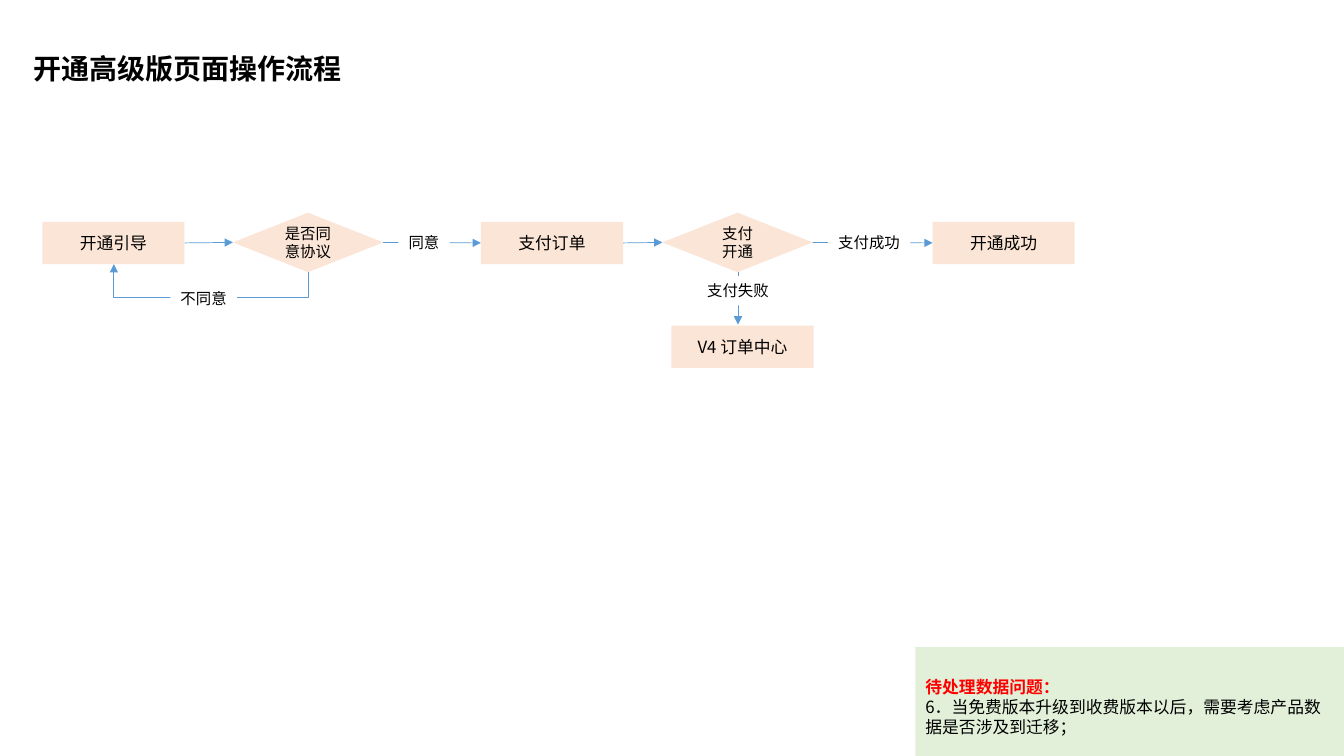
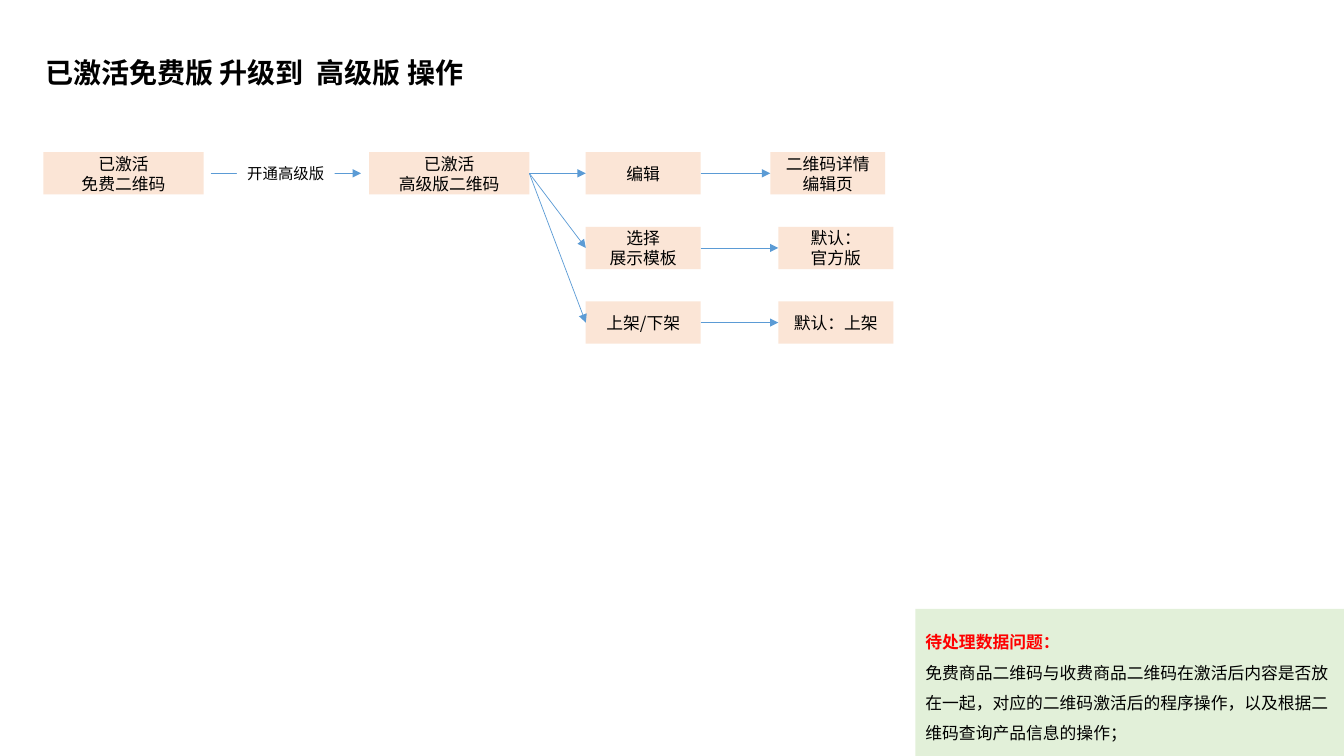
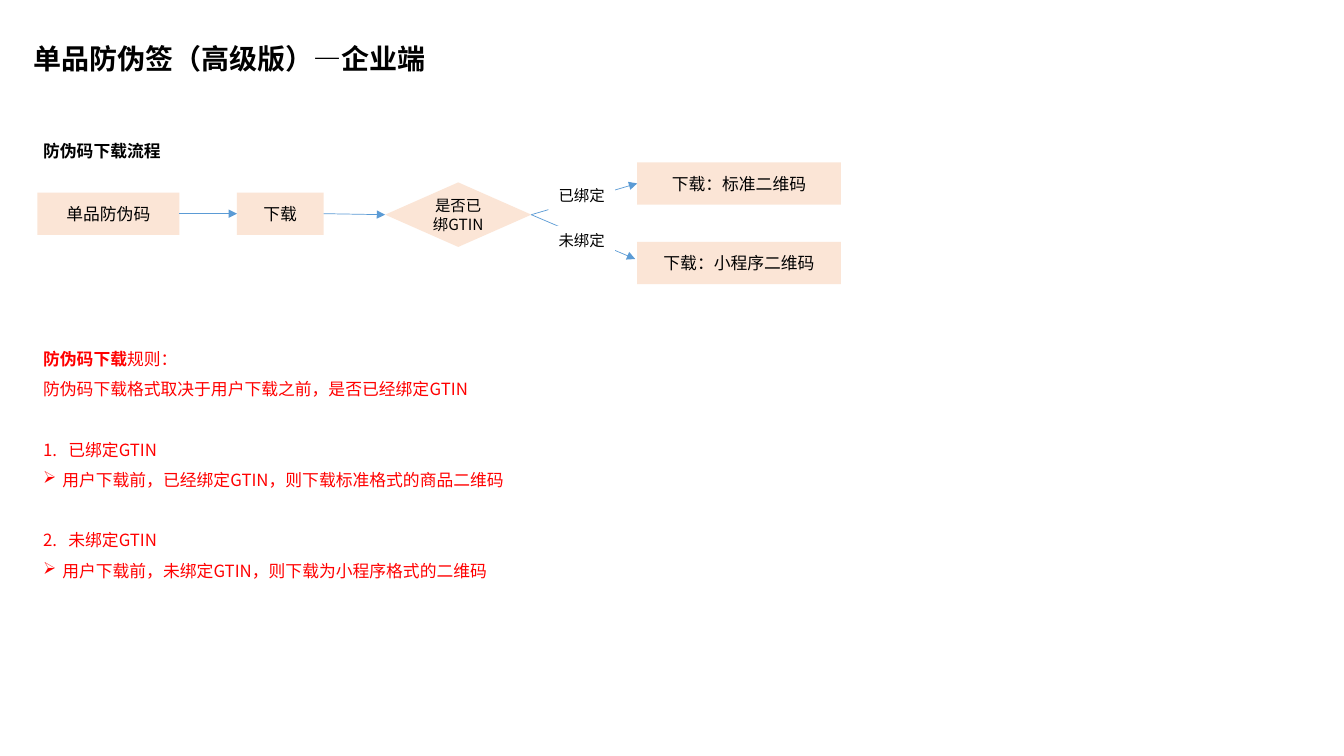
from lxml import etree
from pptx import Presentation
from pptx.dml.color import RGBColor
from pptx.enum.shapes import MSO_CONNECTOR, MSO_SHAPE
from pptx.enum.text import MSO_ANCHOR, MSO_AUTO_SIZE, PP_ALIGN
from pptx.oxml.ns import qn
from pptx.util import Pt

PX = 9144  # 100 px to the inch
FONT = "Noto Sans CJK SC"
BLACK = RGBColor(0x00, 0x00, 0x00)
WHITE = RGBColor(0xFF, 0xFF, 0xFF)
RED = RGBColor(0xFF, 0x00, 0x00)
PEACH = RGBColor(0xFB, 0xE5, 0xD6)
GREEN = RGBColor(0xE2, 0xF0, 0xD9)
BLUE = RGBColor(0x5B, 0x9B, 0xD5)
RECT, DIAMOND = MSO_SHAPE.RECTANGLE, MSO_SHAPE.DIAMOND
STRAIGHT, ELBOW = MSO_CONNECTOR.STRAIGHT, MSO_CONNECTOR.ELBOW
LEFT, CENTER = PP_ALIGN.LEFT, PP_ALIGN.CENTER
MIDDLE, FIT = MSO_ANCHOR.MIDDLE, MSO_AUTO_SIZE.SHAPE_TO_FIT_TEXT
LEFT_SITE, RIGHT_SITE = 1, 3
BOX_H = 42
SLIDE_W, SLIDE_H = 1333, 750


class Deck:
    def __init__(self):
        self.prs = Presentation()
        self.prs.slide_width = SLIDE_W * PX
        self.prs.slide_height = SLIDE_H * PX
        self.s = None

    def new_slide(self, title, x, y, w):
        self.s = self.prs.slides.add_slide(self.prs.slide_layouts[6])
        self.text(title, x, y, w, 44, 20, bold=True)

    def para(self, tf, runs, size=12, align=LEFT, spacing=None):
        """Add a paragraph of (text, colour, bold) runs, using the empty first one."""
        p = tf.paragraphs[0]
        if p.runs:
            p = tf.add_paragraph()
        p.alignment = align
        if spacing:
            p.line_spacing = spacing
        for text, color, bold in runs:
            r = p.add_run()
            r.text = text
            f = r.font
            f.name, f.size, f.bold = FONT, Pt(size), bold
            f.color.rgb = color
            etree.SubElement(r._r.get_or_add_rPr(), qn("a:ea"), typeface=FONT)
        return p

    def frame(self, x, y, w, h, wrap=False):
        sp = self.s.shapes.add_textbox(x * PX, y * PX, w * PX, h * PX)
        sp.text_frame.word_wrap = wrap
        sp.text_frame.auto_size = FIT
        return sp

    def text(self, text, x, y, w, h, size, bold=False, align=LEFT):
        sp = self.frame(x, y, w, h)
        self.para(sp.text_frame, [(text, BLACK, bold)], size, align)
        return sp

    def label(self, text, x, y, w):
        """White caption that interrupts the line behind it."""
        sp = self.text(text, x, y, w, 29, 11, align=CENTER)
        sp.fill.solid()
        sp.fill.fore_color.rgb = WHITE

    def shape(self, kind, x, y, w, h, fill):
        sp = self.s.shapes.add_shape(kind, x * PX, y * PX, w * PX, h * PX)
        sp.shadow.inherit = False
        sp.fill.solid()
        sp.fill.fore_color.rgb = fill
        sp.line.fill.background()
        sp.text_frame.word_wrap = True
        sp.text_frame.vertical_anchor = MIDDLE
        return sp

    def step(self, lines, x, y, w=141, h=BOX_H, kind=RECT, size=12):
        sp = self.shape(kind, x, y, w, h, PEACH)
        for line in lines.split("\n"):
            self.para(sp.text_frame, [(line, BLACK, False)], size, CENTER)
        return sp

    def decision(self, lines, x, y, w=149, h=59):
        return self.step(lines, x, y, w, h, DIAMOND, 11)

    def issue_panel(self, y, body, spacing=None):
        x = 908
        tf = self.shape(RECT, x, y, SLIDE_W - x, SLIDE_H - y, GREEN).text_frame
        self.para(tf, [("待处理数据问题：", RED, True)], spacing=1.5)
        self.para(tf, [(body, BLACK, False)], spacing=spacing)

    def arrow(self, x1, y1, x2, y2, kind=STRAIGHT):
        c = self.s.shapes.add_connector(kind, *(round(v * PX) for v in (x1, y1, x2, y2)))
        c.line.color.rgb = BLUE
        c.line.width = Pt(0.5)
        etree.SubElement(c.line._get_or_add_ln(), qn("a:tailEnd"), type="triangle")
        etree.SubElement(c._element.spPr, qn("a:effectLst"))
        return c

    def link(self, a, b):
        """Arrow glued from the right side of a to the left side of b."""
        c = self.arrow(0, 0, 0, 0)
        c.begin_connect(a, RIGHT_SITE)
        c.end_connect(b, LEFT_SITE)

    def return_arrow(self, x1, y1, x2, y2, drop):
        """Elbow that leaves downwards by drop, runs left and comes up again."""
        cx, cy = (x1 + x2) / 2, (y1 + y2) / 2
        w, h = y1 - y2, x1 - x2
        c = self.arrow(cx + w / 2, cy - h / 2, cx - w / 2, cy + h / 2, ELBOW)
        spPr = c._element.spPr
        spPr.find(qn("a:xfrm")).set("rot", "5400000")
        geom = spPr.find(qn("a:prstGeom"))
        av = geom.find(qn("a:avLst"))
        if av is None:
            av = etree.SubElement(geom, qn("a:avLst"))
        etree.SubElement(av, qn("a:gd"), name="adj1", fmla=f"val {round(-drop / w * 100000)}")

    def bullet(self, p, indent, tag, **attrs):
        pPr = p._p.get_or_add_pPr()
        pPr.set("marL", str(indent * PX))
        pPr.set("indent", str(-indent * PX))
        etree.SubElement(pPr, qn(tag), **attrs)


def upgrade_flow(d):
    d.new_slide("开通高级版页面操作流程", 23, 46, 329)
    guide = d.step("开通引导", 42, 220)
    agree = d.decision("是否同意协议", 231, 211)
    order = d.step("支付订单", 477, 220)
    pay = d.decision("支付\n开通", 657, 211)
    done = d.step("开通成功", 925, 220)
    d.step("V4 订单中心", 666, 323)
    chain = [guide, agree, order, pay, done]
    for a, b in zip(chain, chain[1:]):
        d.link(a, b)
    d.return_arrow(306, 270, 113, 262, 25)
    d.arrow(732, 270, 732, 322)
    for text, x, y, w in [("同意", 395, 226, 51), ("支付成功", 821, 226, 82),
                          ("不同意", 169, 282, 66), ("支付失败", 691, 274, 82)]:
        d.label(text, x, y, w)
    d.issue_panel(642, "6．当免费版本升级到收费版本以后，需要考虑产品数据是否涉及到迁移；")


def activated_upgrade(d):
    d.new_slide("已激活免费版 升级到  高级版 操作", 35, 50, 447)
    d.step("已激活\n免费二维码", 43, 151, 159)
    d.arrow(209, 172, 358, 172)
    d.label("开通高级版", 235, 158, 97)
    premium = d.step("已激活\n高级版二维码", 366, 151, 159)
    rows = [("编辑", "二维码详情编辑页", 764),
            ("选择\n展示模板", "默认：\n官方版", 772),
            ("上架/下架", "默认：上架", 772)]
    for i, (action, result, x) in enumerate(rows):
        y = 151 + 74 * i
        a = d.step(action, 581, y, 114)
        b = d.step(result, x, y, 114)
        d.link(premium, a)
        d.link(a, b)
    d.issue_panel(604, "免费商品二维码与收费商品二维码在激活后内容是否放在一起，"
                  "对应的二维码激活后的程序操作，以及根据二维码查询产品信息的操作；", 1.5)


def label_download(d):
    d.new_slide("单品防伪签（高级版）—企业端", 23, 36, 415)
    d.text("防伪码下载流程", 33, 135, 138, 30, 12, bold=True)
    code = d.step("单品防伪码", 37, 191)
    download = d.step("下载", 235, 191, 86)
    bound = d.decision("是否已绑GTIN", 382, 181, 145, 64)
    standard = d.step("下载：标准二维码", 632, 161, 202)
    d.step("下载：小程序二维码", 632, 240, 202)
    for a, b in [(code, download), (download, bound), (bound, standard)]:
        d.link(a, b)
    d.arrow(527, 213, 630, 257)
    d.label("已绑定", 544, 180, 66)
    d.label("未绑定", 544, 224, 66)

    tf = d.frame(33, 331, 483, 252, wrap=True).text_frame
    d.para(tf, [("防伪码下载", RED, True), ("规则：", RED, False)], spacing=1.5)
    d.para(tf, [("防伪码下载格式取决于用户下载之前，是否已经绑定GTIN", RED, False)], spacing=1.5)
    cases = [("已绑定GTIN", "用户下载前，已经绑定GTIN，则下载标准格式的商品二维码"),
             ("未绑定GTIN", "用户下载前，未绑定GTIN，则下载为小程序格式的二维码")]
    for n, (case, rule) in enumerate(cases, 1):
        p = d.para(tf, [(case, RED, False)], spacing=1.5)
        p.space_before = Pt(21.6)
        d.bullet(p, 25, "a:buAutoNum", type="arabicPeriod", startAt=str(n))
        p = d.para(tf, [(rule, RED, False)], spacing=1.5)
        d.bullet(p, 19, "a:buChar", char="➢")


def main():
    d = Deck()
    upgrade_flow(d)
    activated_upgrade(d)
    label_download(d)
    d.prs.save("out.pptx")


if __name__ == "__main__":
    main()
